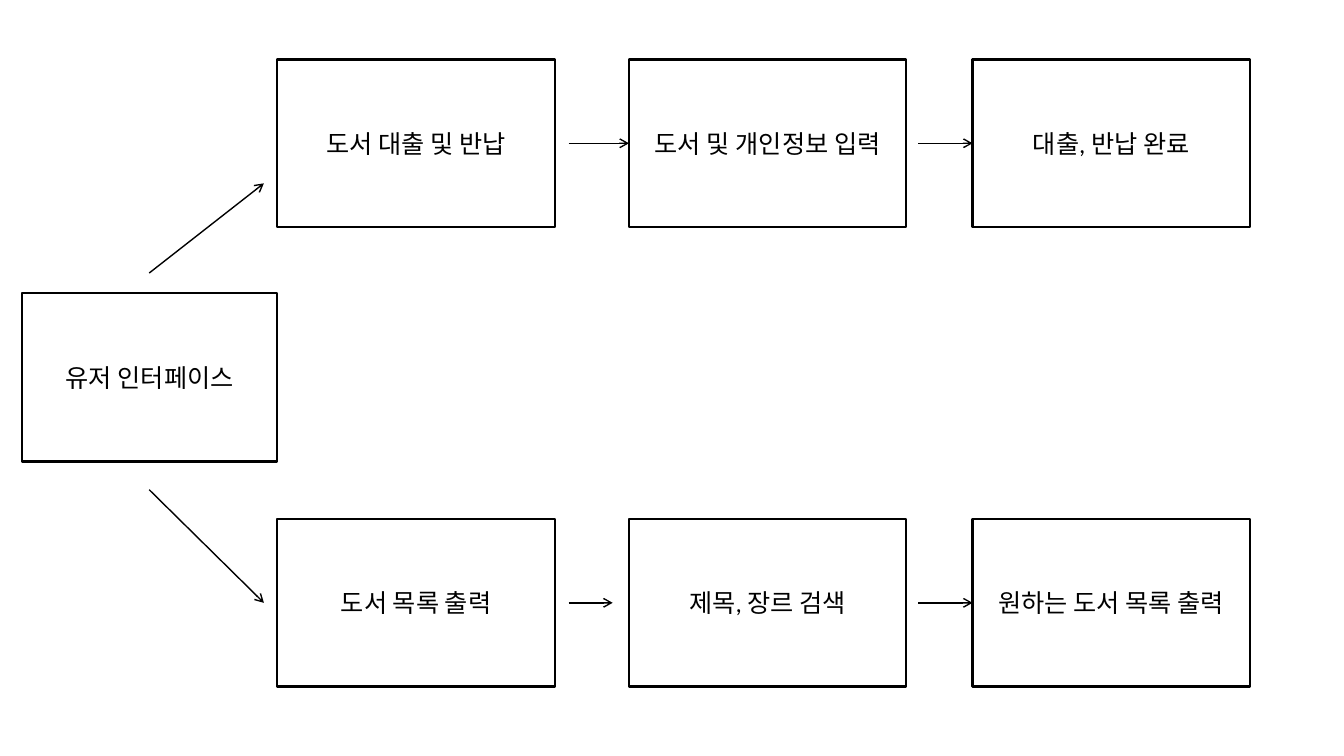
from dataclasses import dataclass

from lxml import etree
from pptx import Presentation
from pptx import util as u
from pptx.dml.color import RGBColor
from pptx.enum import shapes, text
from pptx.oxml import ns


@dataclass(frozen=True)
class Theme:
    ink: RGBColor = RGBColor(0, 0, 0)
    paper: RGBColor = RGBColor(255, 255, 255)
    font: str = "Calibri"
    size: int = 18
    box_line: float = 1.5
    arrow_line: float = 1


def write(tf, content, *, font, size, color, align=text.PP_ALIGN.CENTER):
    tf.word_wrap = True
    tf.vertical_anchor = text.MSO_ANCHOR.MIDDLE
    p = tf.paragraphs[0]
    p.alignment = align
    r = p.add_run()
    r.text = content
    r.font.name = font
    r.font.size = u.Pt(size)
    r.font.color.rgb = color


class FlowSlide:
    def __init__(self, slide, theme):
        self.s = slide
        self.theme = theme

    def box(self, label, x, y, w, h):
        t = self.theme
        sp = self.s.shapes.add_shape(
            shapes.MSO_SHAPE.RECTANGLE, u.Cm(x), u.Cm(y), u.Cm(w), u.Cm(h))
        sp.shadow.inherit = False
        sp.fill.solid()
        sp.fill.fore_color.rgb = t.paper
        sp.line.color.rgb = t.ink
        sp.line.width = u.Pt(t.box_line)
        write(sp.text_frame, label, font=t.font, size=t.size, color=t.ink)
        return sp

    def arrow(self, x1, y1, x2, y2, target=None):
        cx = self.s.shapes.add_connector(
            shapes.MSO_CONNECTOR.STRAIGHT, u.Cm(x1), u.Cm(y1), u.Cm(x2), u.Cm(y2))
        cx.line.color.rgb = self.theme.ink
        cx.line.width = u.Pt(self.theme.arrow_line)
        etree.SubElement(cx.line._get_or_add_ln(), ns.qn("a:tailEnd"), type="arrow")
        etree.SubElement(cx._element.spPr, ns.qn("a:effectLst"))
        if target is not None:
            cx.end_connect(target, 1)
        return cx


def main():
    prs = Presentation()
    prs.slide_width, prs.slide_height = u.Cm(33.87), u.Cm(19.05)
    flow = FlowSlide(prs.slides.add_slide(prs.slide_layouts[6]), Theme())

    box_w, box_h = 6.99, 4.22
    columns = (6.99, 15.85, 24.51)
    arrow_starts = (14.33, 23.14)
    short_arrow_end = 15.44
    rows = (
        (1.5, ("도서 대출 및 반납", "도서 및 개인정보 입력", "대출, 반납 완료")),
        (13.08, ("도서 목록 출력", "제목, 장르 검색", "원하는 도서 목록 출력")),
    )

    flow.box("유저 인터페이스", 0.56, 7.39, 6.43, 4.24)
    for y1, y2 in ((6.88, 4.62), (12.34, 15.19)):
        flow.arrow(3.76, y1, 6.65, y2)

    for row, (top, labels) in enumerate(rows):
        boxes = [flow.box(label, x, top, box_w, box_h)
                 for label, x in zip(labels, columns)]
        mid = top + box_h / 2
        for step, (start, end) in enumerate(zip(arrow_starts, columns[1:])):
            if (row, step) == (1, 0):
                flow.arrow(start, mid, short_arrow_end, mid)
            else:
                flow.arrow(start, mid, end, mid, boxes[step + 1])

    prs.save("out.pptx")


if __name__ == "__main__":
    main()
